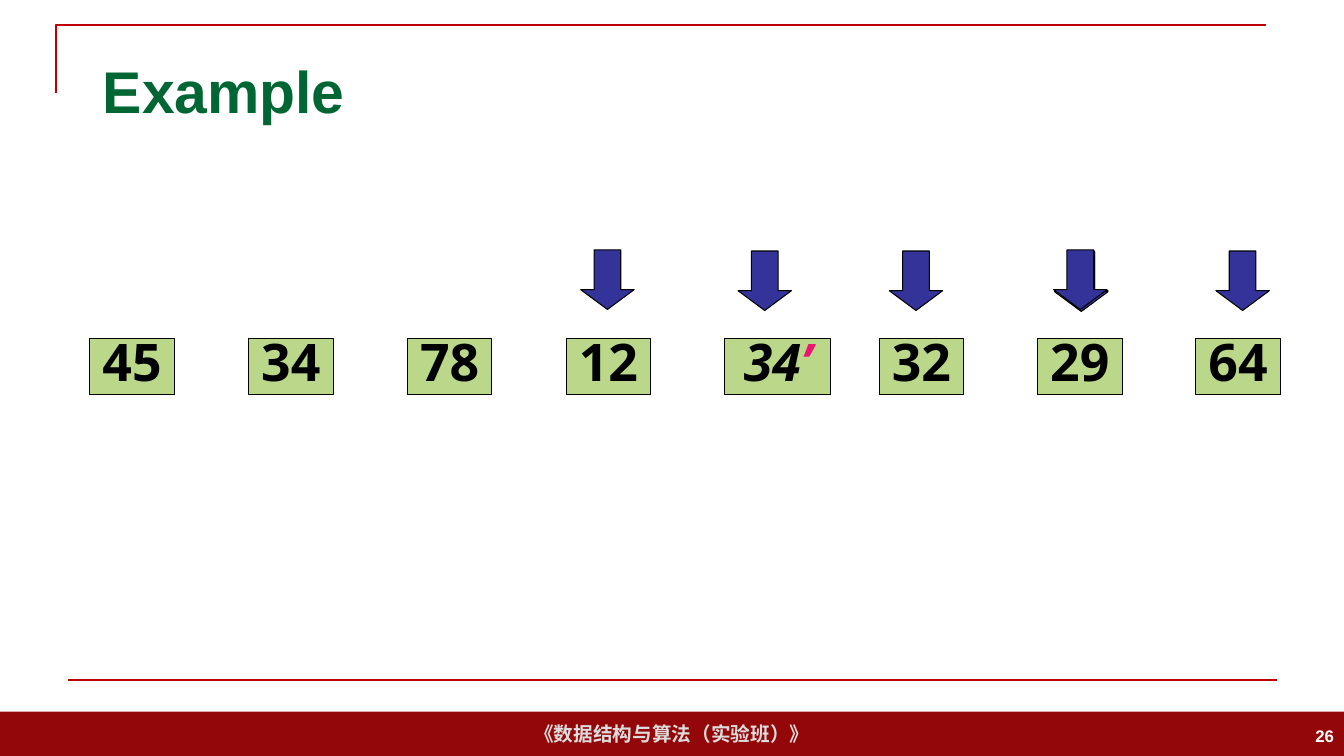
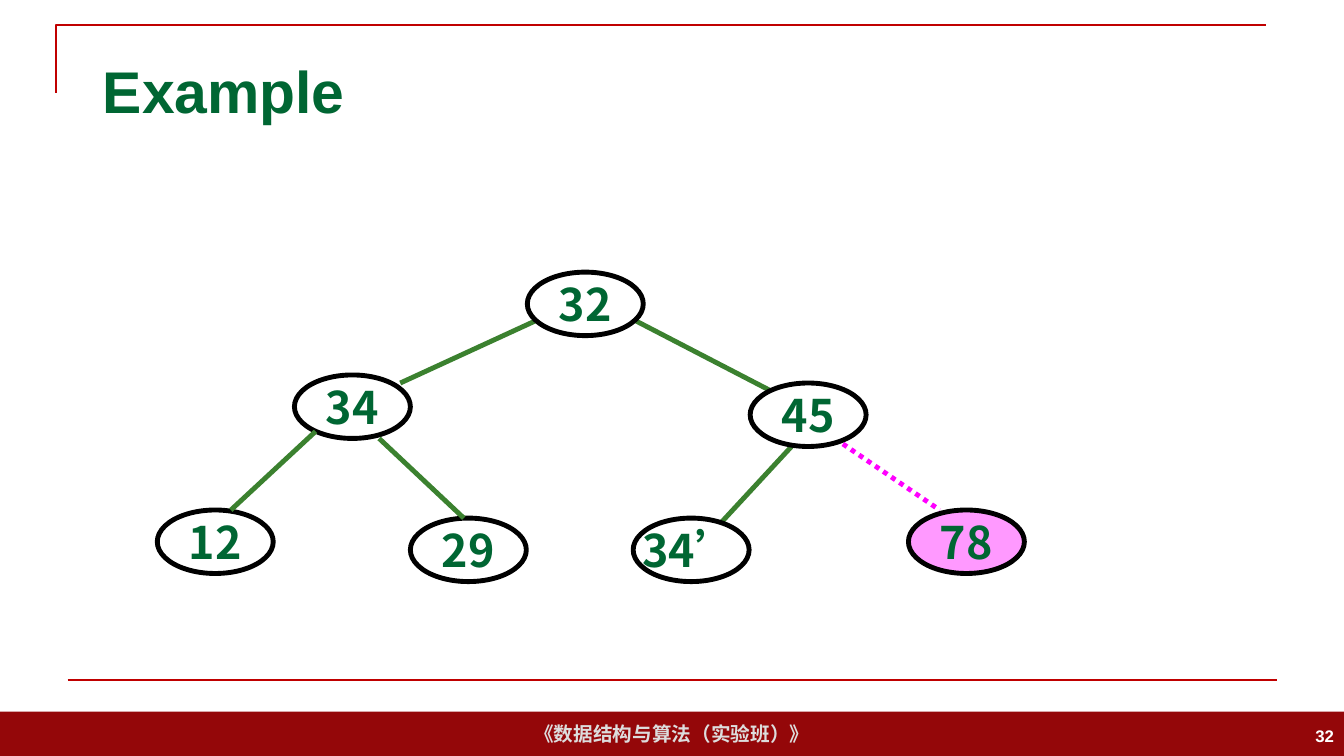
"""Build two slides on sorting: an array scan and a binary search tree."""
from dataclasses import dataclass

from lxml import etree
from pptx import Presentation
from pptx.dml.color import RGBColor
from pptx.enum import dml, shapes, text
from pptx.oxml import ns
from pptx.util import Inches, Pt


@dataclass(frozen=True)
class Theme:
    """Colours, fonts and type sizes of the deck."""
    band: str = "940709"
    rule: str = "C00000"
    green: str = "006633"
    footer: str = "DDDDDD"
    white: str = "FFFFFF"
    black: str = "000000"
    cell: str = "BBD789"
    prime: str = "ED1370"
    arrow: str = "333399"
    edge: str = "3B812F"
    new_edge: str = "FF00FF"
    new_node: str = "FF99FF"
    font: str = "Arial"
    cell_font: str = "Noto Sans"
    node_font: str = "Noto Sans CJK SC"
    title_size: int = 42
    cell_size: int = 37
    node_size: int = 32
    footer_size: int = 14
    number_size: int = 12
    thin: float = 0.75
    rule_width: float = 1.5
    thick: float = 3.5


THEME = Theme()
FOOTER = "《数据结构与算法（实验班）》"
CELL_SIZE = (0.84, 0.55)
WIDE_CELL_SIZE = (1.05, 0.55)
NODE_SIZE = (1.15, 0.63)
ARROW_SIZE = (0.53, 0.59)
ARROWS = [(5.76, 2.48), (8.82, 2.49), (10.46, 2.49), (10.46, 2.5),
          (7.32, 2.49), (10.45, 2.48), (12.06, 2.49)]
BACK_NODES = [("34", 2.92, 3.72, None), ("12", 1.56, 5.06, None),
              ("29", 4.07, 5.14, None), ("78", 9.01, 5.06, THEME.new_node)]
FRONT_NODES = [("32", 5.23, 2.7, THEME.white), ("45", 7.44, 3.8, THEME.white),
               ("34’", 6.28, 5.14, THEME.white)]
EDGES = [((5.34, 3.17), (3.97, 3.8)), ((3.13, 4.28), (2.29, 5.06)),
         ((3.76, 4.35), (4.6, 5.14)), ((6.28, 3.17), (7.65, 3.88)),
         ((7.85, 4.43), (7.12, 5.22))]
NEW_EDGE = ((8.28, 4.35), (9.32, 5.06))


def spread(first, last, count):
    """Return evenly spaced positions from first to last."""
    return [first + (last - first) * i / (count - 1) for i in range(count)]


def set_line(line, color, width):
    """Give a line its colour and width."""
    line.color.rgb = RGBColor.from_string(color)
    line.width = Pt(width)


def style_span(span, font, size, color):
    """Format one run in bold."""
    span.font.name, span.font.size, span.font.bold = font, Pt(size), True
    span.font.color.rgb = RGBColor.from_string(color)


def write(shape, label, font, size, color, align=text.PP_ALIGN.CENTER):
    """Put one vertically centred paragraph in a shape."""
    frame = shape.text_frame
    frame.text = label
    frame.vertical_anchor = text.MSO_ANCHOR.MIDDLE
    frame.word_wrap = False
    para = frame.paragraphs[0]
    para.alignment = align
    style_span(para.runs[0], font, size, color)
    return para


def add_box(page, kind, place, size, fill=None, line=None):
    """Add a preset shape with an optional fill and outline."""
    box = page.shapes.add_shape(kind, *map(Inches, place + size))
    box.shadow.inherit = False
    if fill:
        box.fill.solid()
        box.fill.fore_color.rgb = RGBColor.from_string(fill)
    else:
        box.fill.background()
    if line:
        set_line(box.line, THEME.black, line)
    else:
        box.line.fill.background()
    return box


def set_insets(box):
    """Give a labelled shape its text margins."""
    frame = box.text_frame
    frame.margin_left = frame.margin_right = Inches(0.13)
    frame.margin_top = frame.margin_bottom = Inches(0.07)


def add_line(page, start, end, color, width):
    """Add a straight line without a shadow."""
    line = page.shapes.add_connector(
        shapes.MSO_CONNECTOR.STRAIGHT, *map(Inches, start + end))
    set_line(line.line, color, width)
    etree.SubElement(line.element.spPr, ns.qn("a:effectLst"))
    return line


def add_cell(page, left, label, size=CELL_SIZE):
    """Add one array cell and return its paragraph."""
    box = add_box(page, shapes.MSO_SHAPE.RECTANGLE, (left, 3.36), size,
                  THEME.cell, THEME.thin)
    set_insets(box)
    para = write(box, label, THEME.cell_font, THEME.cell_size, THEME.black)
    para.line_spacing = 0.8
    return para


def add_prime_cell(page, left):
    """Add the wide cell of the second 34, marked with a prime."""
    para = add_cell(page, left, "34", WIDE_CELL_SIZE)
    prime = para.add_run()
    prime.text = "’"
    style_span(prime, THEME.cell_font, THEME.cell_size, THEME.prime)
    for span in para.runs:
        span.font.italic = True


def add_arrow(page, place):
    """Add a down arrow above a cell."""
    arrow = add_box(page, shapes.MSO_SHAPE.DOWN_ARROW, place, ARROW_SIZE,
                    THEME.arrow, THEME.thin)
    arrow.adjustments[0], arrow.adjustments[1] = 0.5, 0.37


def add_node(page, label, left, top, fill):
    """Add one tree node."""
    node = add_box(page, shapes.MSO_SHAPE.OVAL, (left, top), NODE_SIZE,
                   fill, THEME.thick)
    set_insets(node)
    write(node, label, THEME.node_font, THEME.node_size, THEME.green)


def style_layout_title(title):
    """Place the layout title and set its inherited text style."""
    title.left, title.top, title.width, title.height = map(
        Inches, (0.92, 0.4, 11.5, 0.99))
    title.text_frame.vertical_anchor = text.MSO_ANCHOR.MIDDLE
    styles = title.element.find(".//" + ns.qn("a:lstStyle"))
    level = etree.SubElement(styles, ns.qn("a:lvl1pPr"), algn="l")
    props = etree.SubElement(level, ns.qn("a:defRPr"),
                             sz=str(THEME.title_size * 100), b="1")
    fill = etree.SubElement(props, ns.qn("a:solidFill"))
    etree.SubElement(fill, ns.qn("a:srgbClr"), val=THEME.green)
    etree.SubElement(props, ns.qn("a:latin"), typeface=THEME.font)


def decorate_layout(layout, page):
    """Draw the band and rules on a page and move them to its layout."""
    band = add_box(page, shapes.MSO_SHAPE.RECTANGLE, (0, 7.06), (13.33, 0.44),
                   THEME.band)
    write(band, FOOTER, THEME.font, THEME.footer_size, THEME.footer)
    outline = page.shapes.build_freeform(Inches(0.56), Inches(0.92))
    outline.add_line_segments(
        [(Inches(0.56), Inches(0.25)), (Inches(12.56), Inches(0.25))],
        close=False)
    corner = outline.convert_to_shape()
    corner.shadow.inherit = False
    corner.fill.background()
    set_line(corner.line, THEME.rule, THEME.rule_width)
    rule = add_line(page, (0.67, 6.75), (12.67, 6.75), THEME.rule,
                    THEME.rule_width)
    for part in (band, corner, rule):
        layout.shapes.element.append(part.element)


def prepare_layout(deck):
    """Return the title layout reduced to its styled title."""
    layout = deck.slide_layouts.get_by_name("Title Only")
    for holder in list(layout.placeholders):
        if holder.placeholder_format.type == shapes.PP_PLACEHOLDER.TITLE:
            style_layout_title(holder)
        else:
            holder.element.getparent().remove(holder.element)
    return layout


def add_page(deck, layout, number):
    """Add a page with its title and page number."""
    page = deck.slides.add_slide(layout)
    page.shapes.title.text_frame.text = "Example"
    box = page.shapes.add_textbox(*map(Inches, (10.33, 7.1, 3, 0.4)))
    write(box, str(number), THEME.font, THEME.number_size, THEME.white,
          text.PP_ALIGN.RIGHT)
    box.text_frame.word_wrap = True
    return page


def fill_array(page):
    """Draw the array cells and the scan arrows."""
    lefts = spread(0.89, 7.19, 5) + spread(8.72, 11.86, 3)
    for left, label in zip(lefts, ("45", "34", "78", "12", None,
                                   "32", "29", "64")):
        if label:
            add_cell(page, left, label)
        else:
            add_prime_cell(page, left)
    for place in ARROWS:
        add_arrow(page, place)


def fill_tree(page):
    """Draw the tree with its newly added node."""
    for node in BACK_NODES:
        add_node(page, *node)
    for start, end in EDGES:
        add_line(page, start, end, THEME.edge, THEME.thick)
    dotted = add_line(page, *NEW_EDGE, THEME.new_edge, THEME.thick)
    dotted.line.dash_style = dml.MSO_LINE.ROUND_DOT
    for node in FRONT_NODES:
        add_node(page, *node)


def main():
    """Build and save the deck."""
    deck = Presentation()
    deck.slide_width, deck.slide_height = Inches(13.33), Inches(7.5)
    layout = prepare_layout(deck)
    array_page = add_page(deck, layout, 26)
    decorate_layout(layout, array_page)
    fill_array(array_page)
    fill_tree(add_page(deck, layout, 32))
    deck.save("out.pptx")


if __name__ == "__main__":
    main()
